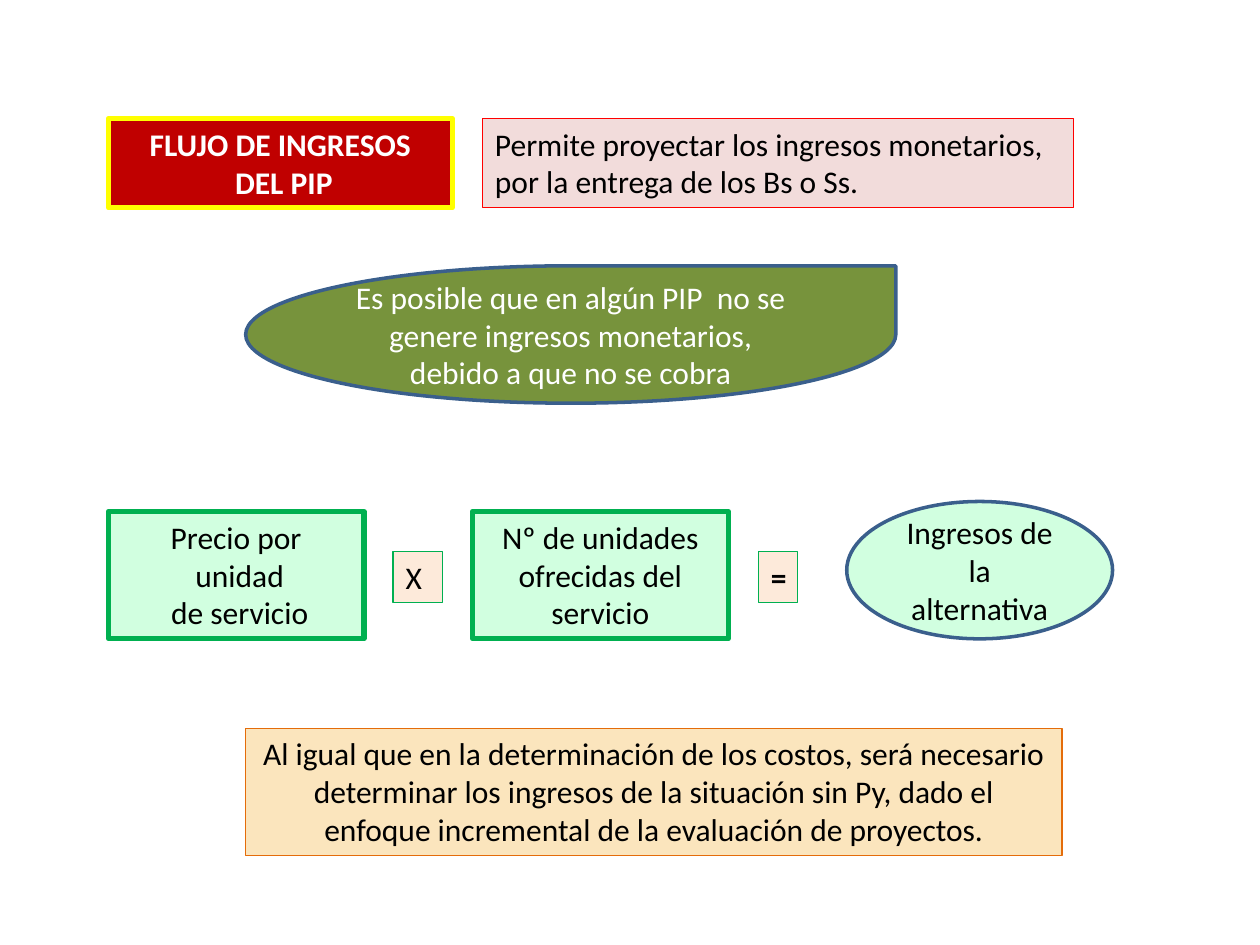
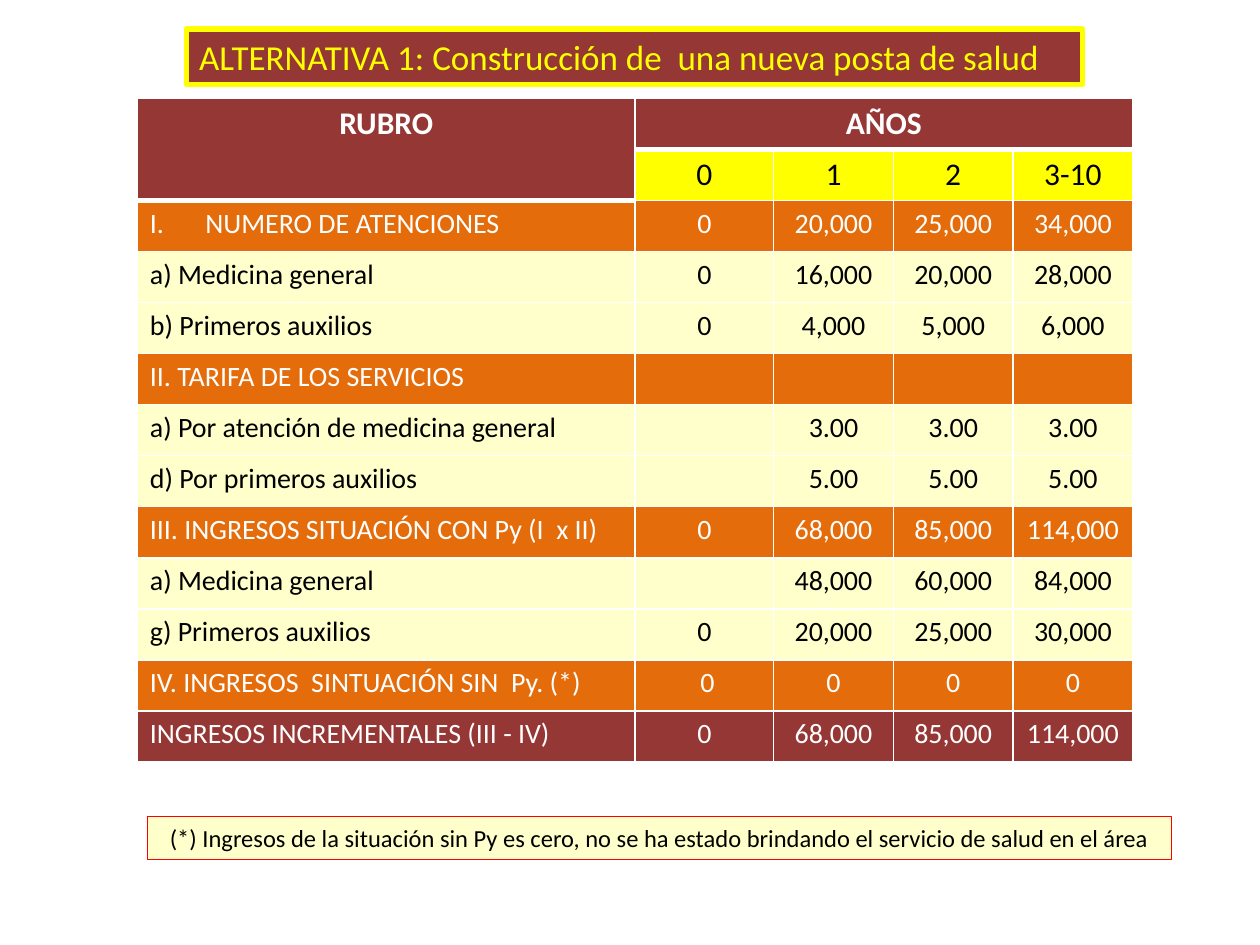
from dataclasses import dataclass

from lxml.etree import SubElement
from pptx import Presentation
from pptx.dml.color import RGBColor
from pptx.enum.shapes import MSO_SHAPE as Preset
from pptx.enum.text import MSO_ANCHOR as Anchor, MSO_AUTO_SIZE as AutoSize, PP_ALIGN as Align
from pptx.oxml.ns import qn
from pptx.util import Inches, Pt

COLORS = {
    "white": "FFFFFF", "black": "000000", "yellow": "FFFF00", "red": "FF0000",
    "crimson": "C00000", "pink": "F2DCDB", "olive": "77933C", "blue": "3A5F8C",
    "mint": "D1FFE0", "green": "00B050", "peach": "FDEADA", "sand": "FBE5BD",
    "orange": "E46C0A", "maroon": "953735", "cream": "FFFFCC",
}
FONT = "Calibri"
TITLE_ONLY = 5


@dataclass(frozen=True)
class Box:
    left: float
    top: float
    width: float
    height: float
    text: str
    fill: str
    line: str
    line_width: float = 0.75
    color: str = "black"
    size: int = 18
    bold: bool = False
    align: Align = Align.CENTER
    anchor: Anchor = Anchor.TOP
    preset: Preset = Preset.RECTANGLE


@dataclass(frozen=True)
class RowStyle:
    fill: str
    color: str
    size: int = 16
    bold: bool = False


@dataclass(frozen=True)
class TableRow:
    style: RowStyle
    label: str
    values: tuple[str, ...]


def rgb(name: str) -> RGBColor:
    return RGBColor.from_string(COLORS[name])


def format_paragraph(paragraph, align: Align, size: int, color: str, bold: bool) -> None:
    paragraph.alignment = align
    paragraph.font.name = FONT
    paragraph.font.size = Pt(size)
    paragraph.font.bold = bold
    paragraph.font.color.rgb = rgb(color)


def format_box(shape, box: Box) -> None:
    shape.left, shape.top = Inches(box.left), Inches(box.top)
    shape.width, shape.height = Inches(box.width), Inches(box.height)
    shape.fill.solid()
    shape.fill.fore_color.rgb = rgb(box.fill)
    shape.line.color.rgb = rgb(box.line)
    shape.line.width = Pt(box.line_width)
    frame = shape.text_frame
    frame.text = box.text
    frame.word_wrap = True
    frame.auto_size = AutoSize.NONE
    frame.vertical_anchor = box.anchor
    for paragraph in frame.paragraphs:
        format_paragraph(paragraph, box.align, box.size, box.color, box.bold)


def add_box(slide, box: Box) -> None:
    shape = slide.shapes.add_shape(
        box.preset, Inches(box.left), Inches(box.top), Inches(box.width), Inches(box.height))
    shape.shadow.inherit = False
    format_box(shape, box)


def add_slide(presentation, title: Box, boxes: list[Box]):
    slide = presentation.slides.add_slide(presentation.slide_layouts[TITLE_ONLY])
    format_box(slide.shapes.title, title)
    for box in boxes:
        add_box(slide, box)
    return slide


def set_borders(cell, widths: dict[str, float]) -> None:
    properties = cell._tc.get_or_add_tcPr()
    for side, width in widths.items():
        line = SubElement(properties, qn(f"a:ln{side}"), w=str(Pt(width)))
        fill = SubElement(line, qn("a:solidFill"))
        SubElement(fill, qn("a:srgbClr"), val=COLORS["white"])


def add_roman_number(paragraph) -> None:
    properties = paragraph._p.get_or_add_pPr()
    properties.set("marL", str(Inches(0.44)))
    properties.set("indent", str(-Inches(0.44)))
    SubElement(properties, qn("a:buAutoNum"), type="romanUcPeriod")


def format_cell(cell, text: str, style: RowStyle, align: Align, numbered: bool = False) -> None:
    cell.fill.solid()
    cell.fill.fore_color.rgb = rgb(style.fill)
    cell.text = text
    paragraph = cell.text_frame.paragraphs[0]
    if numbered:
        add_roman_number(paragraph)
    format_paragraph(paragraph, align, style.size, style.color, style.bold)


HEADER = RowStyle("maroon", "white", 18, True)
YEARS = RowStyle("yellow", "black", 18)
SECTION = RowStyle("orange", "white")
DETAIL = RowStyle("cream", "black")
TOTAL = RowStyle("maroon", "white")

INCOME_ROWS = [
    TableRow(HEADER, "RUBRO", ("AÑOS", "", "", "")),
    TableRow(YEARS, "", ("0", "1", "2", "3-10")),
    TableRow(SECTION, "NUMERO DE ATENCIONES", ("0", "20,000", "25,000", "34,000")),
    TableRow(DETAIL, "a) Medicina general", ("0", "16,000", "20,000", "28,000")),
    TableRow(DETAIL, "b) Primeros auxilios", ("0", "4,000", "5,000", "6,000")),
    TableRow(SECTION, "II. TARIFA DE LOS SERVICIOS", ("", "", "", "")),
    TableRow(DETAIL, "a) Por atención de medicina general", ("", "3.00", "3.00", "3.00")),
    TableRow(DETAIL, "d) Por primeros auxilios", ("", "5.00", "5.00", "5.00")),
    TableRow(SECTION, "III. INGRESOS SITUACIÓN CON Py (I  x II)",
             ("0", "68,000", "85,000", "114,000")),
    TableRow(DETAIL, "a) Medicina general", ("", "48,000", "60,000", "84,000")),
    TableRow(DETAIL, "g) Primeros auxilios", ("0", "20,000", "25,000", "30,000")),
    TableRow(SECTION, "IV. INGRESOS  SINTUACIÓN SIN  Py. (*)", (" 0", "0", "0", "0")),
    TableRow(TOTAL, "INGRESOS INCREMENTALES (III - IV)", ("0", "68,000", "85,000", "114,000")),
]
COLUMN_WIDTHS = [3.95, 1.1, 0.95, 0.95, 0.95]
NUMBERED_ROW = 2


def add_income_table(slide) -> None:
    table = slide.shapes.add_table(
        len(INCOME_ROWS), len(COLUMN_WIDTHS),
        Inches(1.09), Inches(0.78), Inches(sum(COLUMN_WIDTHS)), Inches(5.27)).table
    table.horz_banding = False
    for column, width in zip(table.columns, COLUMN_WIDTHS):
        column.width = Inches(width)
    table.cell(0, 0).merge(table.cell(1, 0))
    table.cell(0, 1).merge(table.cell(0, 4))
    for row_index, row in enumerate(INCOME_ROWS):
        for column_index, text in enumerate((row.label, *row.values)):
            cell = table.cell(row_index, column_index)
            is_label = column_index == 0
            under_header = row_index == 0 or (row_index == 1 and is_label)
            top = {"T": 1} if row_index == 0 else {}
            set_borders(cell, {"L": 1, "R": 1, **top, "B": 3 if under_header else 1})
            style = HEADER if under_header else row.style
            align = Align.LEFT if is_label and not under_header else Align.CENTER
            format_cell(cell, text, style, align, is_label and row_index == NUMBERED_ROW)


def add_income_flow_slide(presentation) -> None:
    title = Box(0.86, 0.94, 2.73, 0.71, "FLUJO DE INGRESOS\n DEL PIP",
                "crimson", "yellow", 3, "white", bold=True)
    factors = [
        Box(left, 4.06, 2.03, 1.01, text, "mint", "green", 3)
        for left, text in [
            (0.86, "Precio por\n unidad\n de servicio"),
            (3.75, "Nº de unidades ofrecidas del servicio"),
        ]
    ]
    operators = [
        Box(left, 4.38, width, 0.4, text, "peach", "green", bold=bold, align=Align.LEFT)
        for left, width, text, bold in [(3.12, 0.39, "X", False), (6.02, 0.31, "=", True)]
    ]
    add_slide(presentation, title, [
        Box(3.83, 0.94, 4.69, 0.71,
            "Permite proyectar los ingresos monetarios, por la entrega de los Bs o Ss.",
            "pink", "red", align=Align.LEFT),
        Box(1.95, 2.11, 5.16, 1.09,
            "Es posible que en algún PIP  no se genere ingresos monetarios, "
            "debido a que no se cobra",
            "olive", "blue", 2, "white", anchor=Anchor.MIDDLE, preset=Preset.TEAR),
        *factors,
        *operators,
        Box(6.72, 3.98, 2.11, 1.09, "Ingresos de la alternativa",
            "mint", "blue", 2, anchor=Anchor.MIDDLE, preset=Preset.OVAL),
        Box(1.95, 5.78, 6.48, 1.01,
            "Al igual que en la determinación de los costos, será necesario determinar "
            "los ingresos de la situación sin Py, dado el enfoque incremental de la "
            "evaluación de proyectos.",
            "sand", "orange"),
    ])


def add_alternative_slide(presentation) -> None:
    title = Box(1.48, 0.23, 7.11, 0.44,
                "ALTERNATIVA 1: Construcción de  una nueva posta de salud",
                "maroon", "yellow", 3, "yellow", 20, align=Align.LEFT)
    footnote = Box(1.17, 6.48, 8.13, 0.34,
                   "(*) Ingresos de la situación sin Py es cero, no se ha estado "
                   "brindando el servicio de salud en el área",
                   "cream", "red", size=14)
    slide = add_slide(presentation, title, [])
    add_income_table(slide)
    add_box(slide, footnote)


def main() -> None:
    presentation = Presentation()
    presentation.slide_width = Inches(10)
    presentation.slide_height = Inches(7.5)
    add_income_flow_slide(presentation)
    add_alternative_slide(presentation)
    presentation.save("out.pptx")


if __name__ == "__main__":
    main()
